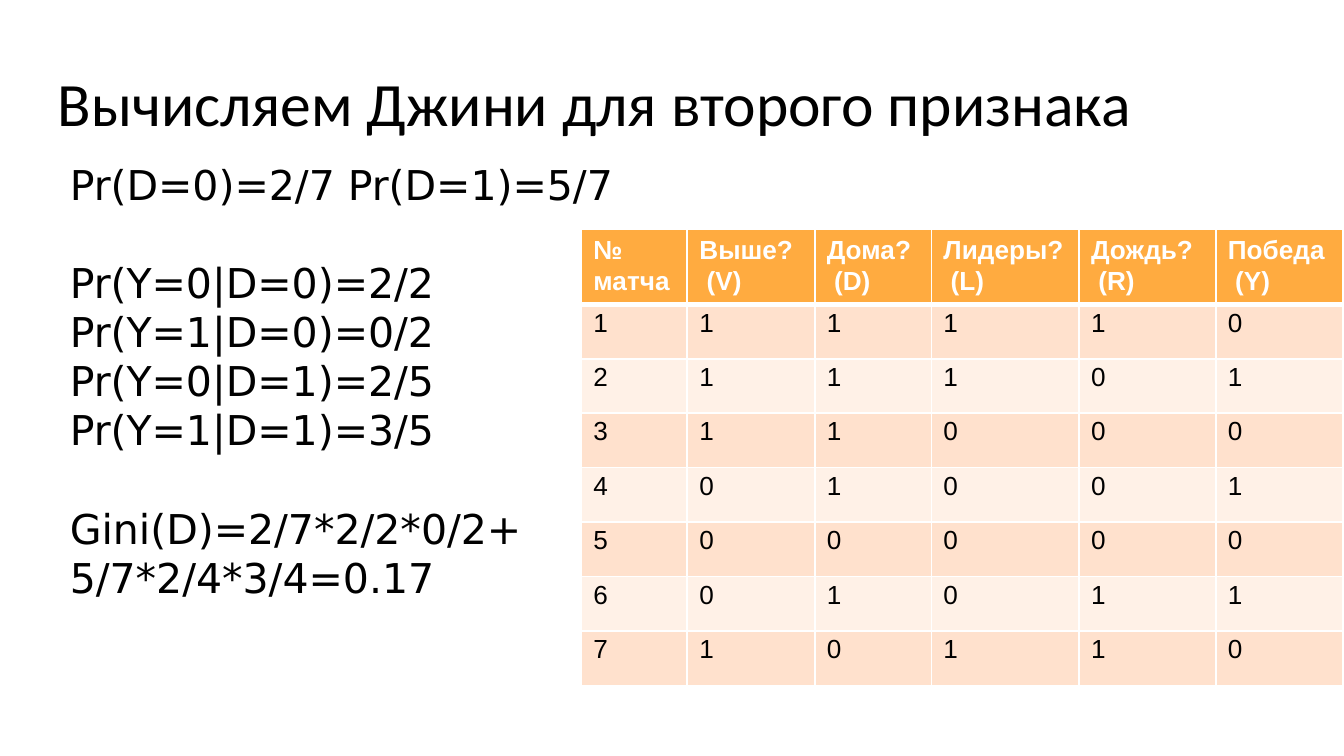
from pptx import Presentation
from pptx.dml.color import RGBColor as RGB
from pptx.enum.text import MSO_ANCHOR as Anchor, MSO_AUTO_SIZE as Fit, PP_ALIGN as Align
from pptx.oxml import parse_xml
from pptx.oxml.ns import nsdecls
from pptx.util import Inches, Pt

WIDE = Inches(10)
HIGH = WIDE * 9 // 16


class Theme:
    ink, white = "000000", "FFFFFF"
    head, bands = "FFAB40", ("FFE1CD", "FFF1E7")
    title = {"name": "Calibri", "size": Pt(33), "bold": False}
    body = {"name": "DejaVu Sans", "size": Pt(22)}
    label = {"name": "Arial", "size": Pt(14), "bold": True}
    value = {"name": "Arial", "size": Pt(14), "bold": False}
    pitch, tight = Pt(26.3), Pt(16.5)


TITLE = "Вычисляем Джини для второго признака"
GROUPS = [
    ["Pr(D=0)=2/7 Pr(D=1)=5/7"],
    ["Pr(Y=0|D=0)=2/2", "Pr(Y=1|D=0)=0/2", "Pr(Y=0|D=1)=2/5", "Pr(Y=1|D=1)=3/5"],
    ["Gini(D)=2/7*2/2*0/2+", "5/7*2/4*3/4=0.17"],
]
HEADS = [["№", "матча"], ["Выше?", " (V)"], ["Дома?", " (D)"],
         ["Лидеры?", " (L)"], ["Дождь?", " (R)"], ["Победа", " (Y)"]]
GAMES = ["11110", "11101", "11000", "01001", "00000", "01011", "10110"]
COLS = [0.79, 0.95, 0.87, 1.1, 1.02, 0.95]


def share(left, top, width, height):
    """Turn percentages of the slide into a box."""
    return [int(part * side / 100) for part, side in
            zip((left, top, width, height), (WIDE, HIGH, WIDE, HIGH))]


def style(item, looks):
    for key, val in looks.items():
        setattr(item, key, val)


def write(para, lines, font, color, inset, **looks):
    """Fill one paragraph, with a line break between its lines."""
    for n, line in enumerate(lines):
        if n:
            para.add_line_break()
        run = para.add_run()
        run.text = line
        style(run.font, font)
        run.font.color.rgb = RGB.from_string(color)
    style(para, looks)
    para._p.get_or_add_pPr().set("marL", str(Inches(inset)))


def frame(shape, **looks):
    text = shape.text_frame
    style(text, {"margin_left": 0, "margin_right": 0, "margin_top": Inches(0.01),
                 "margin_bottom": 0, "word_wrap": True, **looks})
    return text


def add_title(slide, box):
    shape = slide.shapes.title
    style(shape, dict(zip(("left", "top", "width", "height"), box)))
    text = frame(shape, vertical_anchor=Anchor.MIDDLE, auto_size=Fit.SHAPE_TO_FIT_TEXT)
    write(text.paragraphs[0], [TITLE], Theme.title, Theme.ink, 0.01,
          alignment=Align.LEFT, space_before=Pt(1))


def add_body(slide, box):
    text = frame(slide.shapes.add_textbox(*box))
    for n, group in enumerate(GROUPS):
        para = text.add_paragraph() if n else text.paragraphs[0]
        # Each later group starts one line lower
        write(para, group, Theme.body, Theme.ink, 0.01,
              space_before=Theme.pitch if n else Pt(1),
              line_spacing=Theme.pitch if n else None)


def edge(cell, top, bottom):
    props = cell._tc.get_or_add_tcPr()
    for spot, (side, width) in enumerate(zip("LRTB", (1, 1, top, bottom))):
        props.insert(spot, parse_xml(
            f'<a:ln{side} {nsdecls("a")} w="{Pt(width)}"><a:solidFill>'
            f'<a:srgbClr val="{Theme.white}"/></a:solidFill></a:ln{side}>'))


def fill_cell(cell, row, lines):
    head = row == 0
    style(cell, {"margin_left": 0, "margin_right": 0, "margin_bottom": 0,
                 "margin_top": Inches(0.04 if head else 0.03)})
    cell.fill.solid()
    color = Theme.head if head else Theme.bands[(row - 1) % 2]
    cell.fill.fore_color.rgb = RGB.from_string(color)
    edge(cell, 3 if row == 1 else 1, 3 if head else 1)
    para = cell.text_frame.paragraphs[0]
    if head:
        write(para, lines, Theme.label, Theme.white, 0.09,
              line_spacing=Theme.tight, space_before=Pt(3.2))
    else:
        write(para, lines, Theme.value, Theme.ink, 0.09, space_before=Pt(2.4))


def add_games(slide, box):
    rows = [HEADS] + [[str(n), *game] for n, game in enumerate(GAMES, 1)]
    table = slide.shapes.add_table(len(rows), len(COLS), *box).table
    style(table, {"first_row": False, "horz_banding": False})
    for col, part in zip(table.columns, COLS):
        col.width = int(box[2] * part / sum(COLS))
    top = Inches(0.56)
    for r, row in enumerate(rows):
        table.rows[r].height = (box[3] - top) // len(GAMES) if r else top
        for c, lines in enumerate(row):
            fill_cell(table.cell(r, c), r, lines)


def main():
    deck = Presentation()
    style(deck, {"slide_width": WIDE, "slide_height": HIGH})
    slide = deck.slides.add_slide(deck.slide_layouts[5])
    add_title(slide, share(4.2, 9.43, 83.5, 7.83))
    add_body(slide, share(5.1, 20.9, 42.3, 58.9))
    add_games(slide, share(43.25, 30.3, 56.7, 60.4))
    deck.save("out.pptx")


if __name__ == "__main__":
    main()
